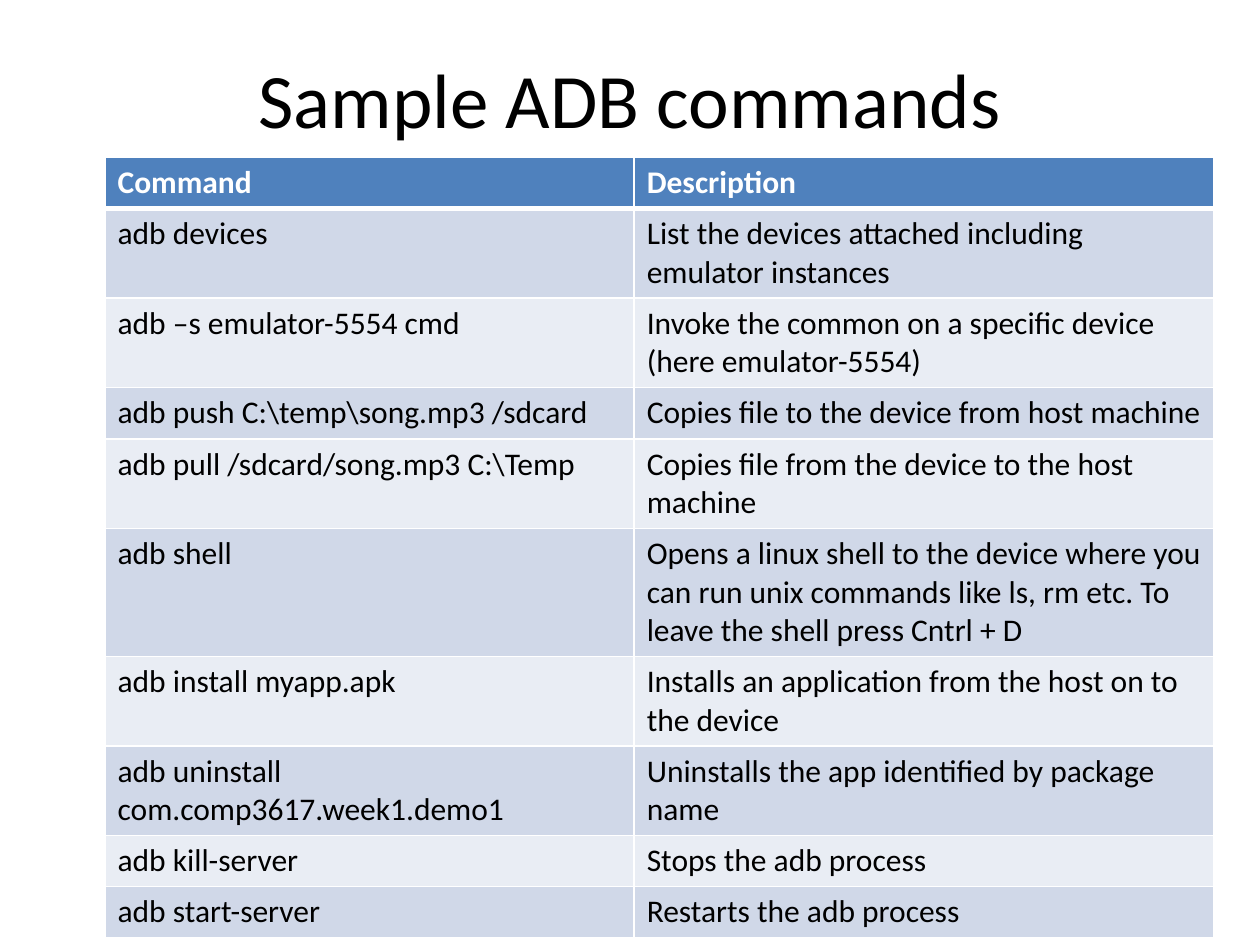
from dataclasses import dataclass

from lxml import etree
from pptx import Presentation
from pptx import util as u
from pptx.dml.color import RGBColor
from pptx.enum import text
from pptx.oxml import ns


@dataclass(frozen=True)
class Theme:
    font: str = "Calibri"
    ink: str = "000000"
    paper: str = "FFFFFF"
    header: str = "4F81BD"
    bands: tuple = ("D0D8E8", "E9EDF4")
    title_size: float = 44
    body_size: float = 18
    rule: float = 1
    header_rule: float = 3


# Each row: command, description, lines of text it holds
HEADINGS = ("Command", "Description", 1)
COMMANDS = [
    ("adb devices", "List the devices attached including emulator instances", 2),
    ("adb –s emulator-5554 cmd",
     "Invoke the common on a specific device (here emulator-5554)", 2),
    ("adb push C:\\temp\\song.mp3 /sdcard", "Copies file to the device from host machine", 1),
    ("adb pull /sdcard/song.mp3 C:\\Temp", "Copies file from the device to the host machine", 2),
    ("adb shell",
     "Opens a linux shell to the device where you can run unix commands like ls, rm etc. "
     "To leave the shell press Cntrl + D", 3),
    ("adb install myapp.apk", "Installs an application from the host on to the device", 2),
    ("adb uninstall com.comp3617.week1.demo1",
     "Uninstalls the app identified by package name", 2),
    ("adb kill-server", "Stops the adb process", 1),
    ("adb start-server", "Restarts the adb process", 1),
]


class SlideBuilder:
    LINE_HEIGHT = u.Inches(0.28)
    CELL_PADDING = u.Inches(0.1)

    def __init__(self, deck, theme):
        self.deck, self.theme = deck, theme
        self.page = deck.slides.add_slide(deck.slide_layouts.get_by_name("Title Only"))

    def across(self, share):
        return round(self.deck.slide_width * share)

    def down(self, share):
        return round(self.deck.slide_height * share)

    def add_text(self, para, words, size, color, bold=False):
        span = para.add_run()
        span.text = words
        span.font.name = self.theme.font
        span.font.size = u.Pt(size)
        span.font.bold = bold
        span.font.color.rgb = RGBColor.from_string(color)

    def title(self, words, left, top, width, height):
        box = self.page.shapes.title
        box.left, box.top = self.across(left), self.down(top)
        box.width, box.height = self.across(width), self.down(height)
        box.text_frame.vertical_anchor = text.MSO_ANCHOR.MIDDLE
        para = box.text_frame.paragraphs[0]
        para.alignment = text.PP_ALIGN.CENTER
        self.add_text(para, words, self.theme.title_size, self.theme.ink)

    def border(self, cell, **widths):
        """Draw cell edges; widths are points keyed by L, R, T and B, in that order."""
        properties = cell._tc.get_or_add_tcPr()
        for side, width in widths.items():
            line = etree.SubElement(properties, ns.qn(f"a:ln{side}"), w=str(u.Pt(width)))
            fill = etree.SubElement(line, ns.qn("a:solidFill"))
            etree.SubElement(fill, ns.qn("a:srgbClr"), val=self.theme.paper)

    def table(self, rows, left, top, column_shares):
        """Add a table whose first row is the header and whose other rows are banded."""
        theme = self.theme
        heights = [self.CELL_PADDING + lines * self.LINE_HEIGHT for *_, lines in rows]
        grid = self.page.shapes.add_table(
            len(rows), len(column_shares), self.across(left), self.down(top),
            self.across(sum(column_shares)), sum(heights)).table
        for column, share in zip(grid.columns, column_shares):
            column.width = self.across(share)
        for index, (*entries, _) in enumerate(rows):
            grid.rows[index].height = heights[index]
            is_header = index == 0
            fill = theme.header if is_header else theme.bands[(index - 1) % 2]
            above = theme.header_rule if index == 1 else theme.rule
            below = theme.header_rule if is_header else theme.rule
            for cell, words in zip(grid.rows[index].cells, entries):
                self.border(cell, L=theme.rule, R=theme.rule, T=above, B=below)
                cell.fill.solid()
                cell.fill.fore_color.rgb = RGBColor.from_string(fill)
                self.add_text(cell.text_frame.paragraphs[0], words, theme.body_size,
                              theme.paper if is_header else theme.ink, is_header)


def main():
    deck = Presentation()
    deck.slide_width, deck.slide_height = u.Inches(10), u.Inches(7.5)
    builder = SlideBuilder(deck, Theme())
    builder.title("Sample ADB commands", 0.05, 0.04, 0.9, 1 / 6 - 0.04)
    builder.table([HEADINGS, *COMMANDS], 1 / 12, 1 / 6, (0.42, 0.46))
    deck.save("out.pptx")


if __name__ == "__main__":
    main()
